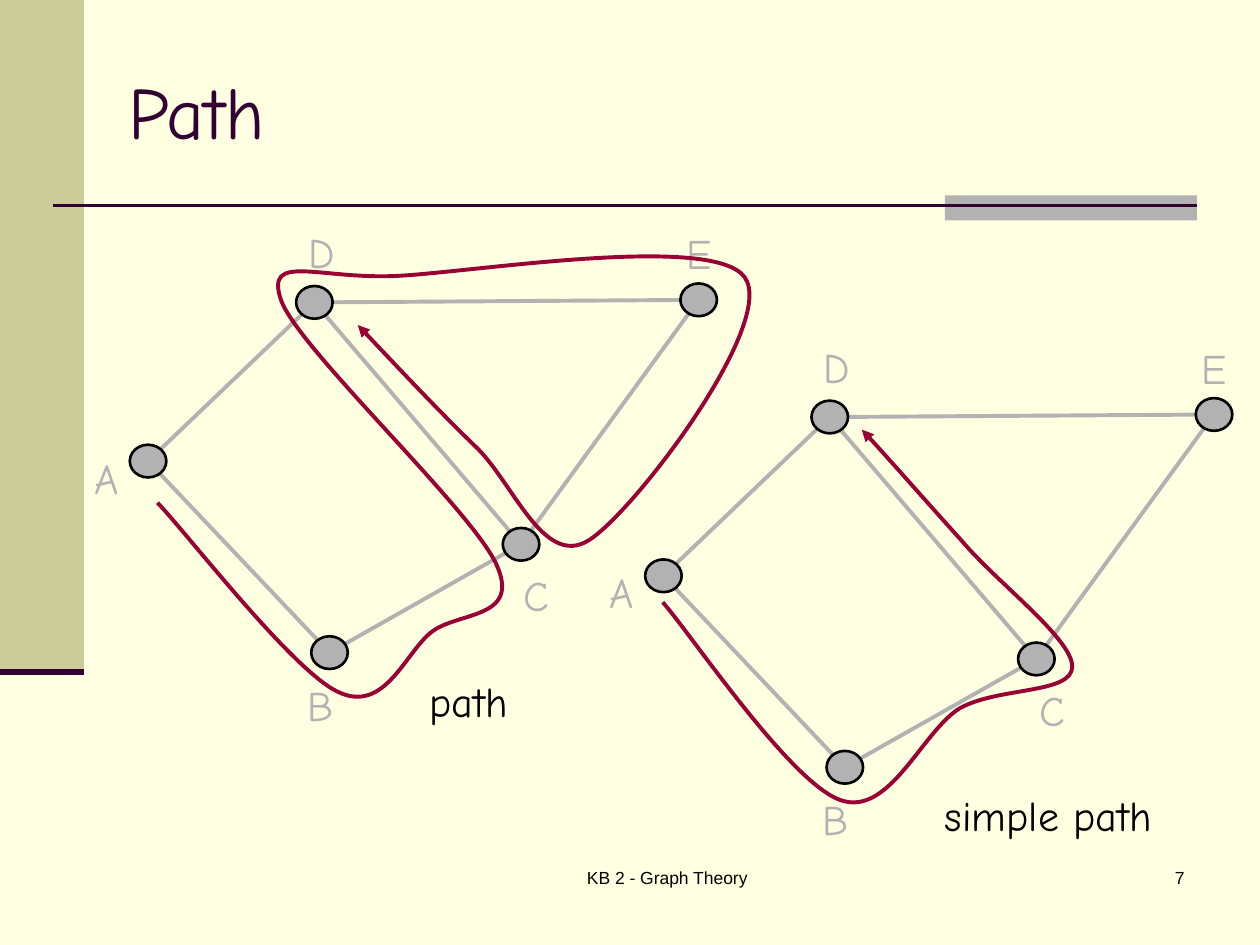
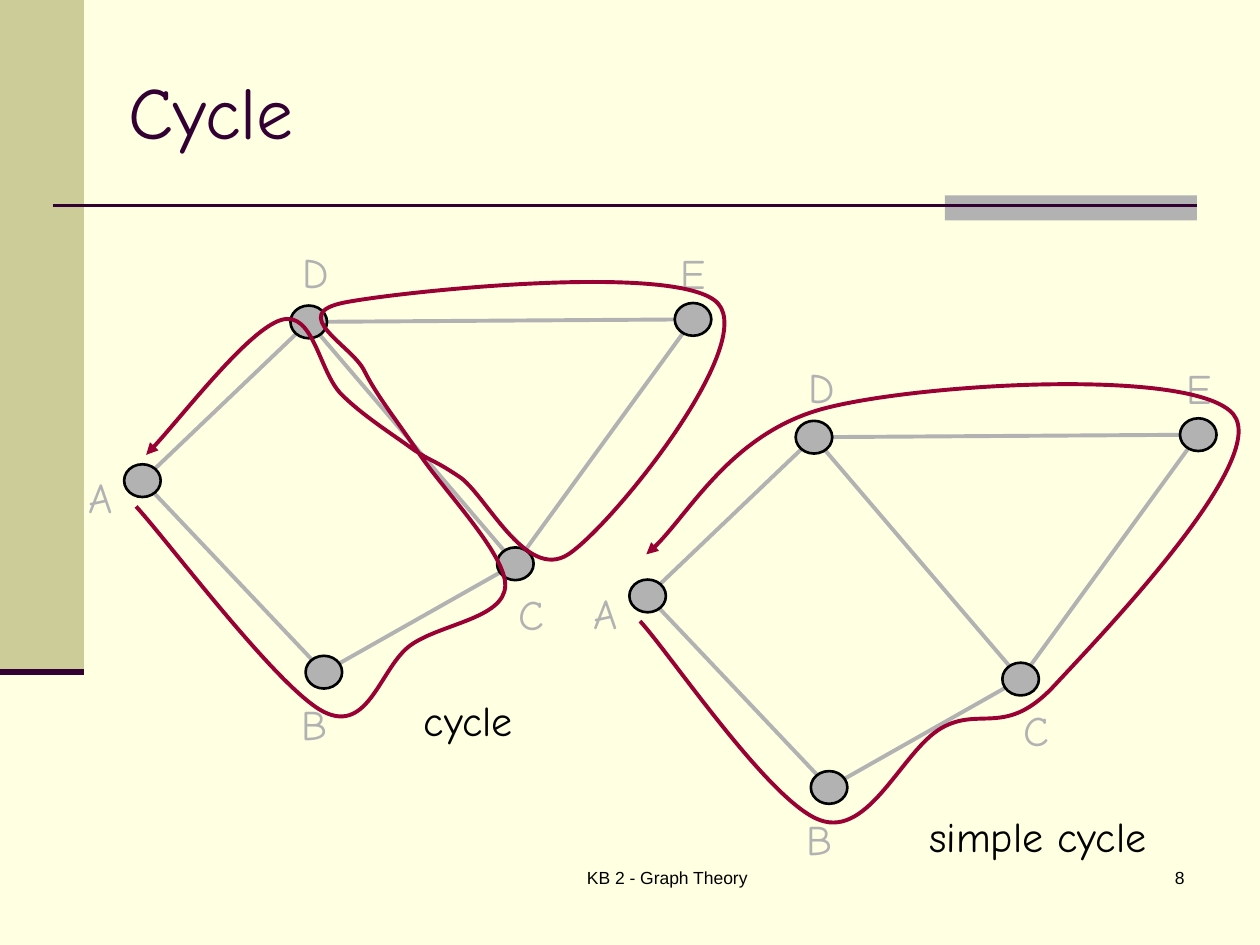
from dataclasses import dataclass

from pptx import Presentation
from pptx.dml.color import RGBColor
from pptx.enum.shapes import MSO_CONNECTOR, MSO_SHAPE
from pptx.enum.text import MSO_ANCHOR, MSO_AUTO_SIZE, PP_ALIGN
from pptx.oxml.ns import qn
from pptx.oxml.xmlchemy import OxmlElement
from pptx.util import Inches, Pt

STRAIGHT = MSO_CONNECTOR.STRAIGHT
RECT, OVAL = MSO_SHAPE.RECTANGLE, MSO_SHAPE.OVAL
TOP, MIDDLE = MSO_ANCHOR.TOP, MSO_ANCHOR.MIDDLE
LEFT, CENTER, RIGHT = PP_ALIGN.LEFT, PP_ALIGN.CENTER, PP_ALIGN.RIGHT
GROW, FIXED = MSO_AUTO_SIZE.SHAPE_TO_FIT_TEXT, MSO_AUTO_SIZE.NONE

COLS, ROWS = 100, 75
CELL = Inches(10) // COLS

CREAM, KHAKI, GRAY = "FFFFE1", "CCCC99", "B2B2B2"
PLUM, CRIMSON, BLACK = "330033", "990033", "000000"
HAND, SANS = "Comic Neue", "Arial"

NODE_W, NODE_H = 2.9, 2.6
LABEL_W, LABEL_H = 4, 5
CAPTION_COL, CAPTION_ROW = 33.1, 53.1
EDGES = ("DE", "DA", "AB", "BC", "CE", "DC")


@dataclass(frozen=True)
class Node:
    col: float
    row: float
    label_col: float
    label_row: float

    def center(self) -> tuple[float, float]:
        return self.col + NODE_W / 2, self.row + NODE_H / 2


@dataclass(frozen=True)
class Graph:
    col: float
    row: float
    caption: str
    caption_w: float
    start: tuple[float, float]
    curves: tuple[tuple[float, ...], ...]


@dataclass(frozen=True)
class Page:
    title: str
    number: int
    graphs: tuple[Graph, ...]


NODES = {
    "A": Node(10.3, 35.3, 6.5, 35.4),
    "B": Node(24.7, 50.5, 23.4, 53.4),
    "C": Node(39.9, 41.9, 40.6, 44.7),
    "D": Node(23.5, 22.7, 23.5, 17.5),
    "E": Node(54, 22.5, 53.5, 17.6),
}

PAGES = (
    Page("Path", 7, (
        Graph(0, 0, "path", 8.2, (12.5, 39.9), (
            (14.9, 42.4, 23.2, 53.2, 26.8, 54.9),
            (30.5, 56.7, 32.1, 51.9, 34.2, 50.2),
            (36.3, 48.5, 41.4, 49.2, 39.4, 44.8),
            (37.4, 40.4, 23.6, 27.6, 22.3, 23.8),
            (21, 20, 25.3, 22.2, 31.5, 21.9),
            (37.6, 21.6, 56.6, 18.5, 59.1, 22),
            (61.7, 25.6, 50.3, 40.7, 46.7, 42.9),
            (43.1, 45.1, 40.7, 38.2, 37.7, 35.4),
            (34.7, 32.5, 30.3, 27.8, 28.4, 25.8),
        )),
        Graph(40.9, 9.1, "simple path", 18.4, (52.6, 47.8), (
            (54.9, 50.4, 62.7, 62.1, 66.7, 63.5),
            (70.6, 64.9, 73.2, 58, 76.2, 56.2),
            (79.3, 54.5, 85.1, 55.1, 85.1, 52.9),
            (85.1, 50.7, 79.1, 46.2, 76.4, 43),
            (73.6, 39.9, 70.1, 35.9, 68.4, 34.1),
        )),
    )),
    Page("Cycle", 8, (
        Graph(-0.45, 1.55, "cycle", 9.1, (10.8, 40.2), (
            (13.3, 42.9, 22.1, 54.7, 25.7, 56.5),
            (29.3, 58.3, 30.2, 52.9, 32.6, 51.2),
            (35, 49.5, 40, 49.1, 40.1, 46.5),
            (40.2, 44, 35.1, 38.8, 33.2, 35.9),
            (31.3, 33.1, 29.9, 31.4, 28.9, 29.4),
            (27.9, 27.4, 22.7, 24.9, 27.4, 24),
            (32.1, 23.1, 54.1, 20.8, 57, 24.1),
            (60, 27.5, 48.6, 41.7, 45.1, 44),
            (41.7, 46.2, 38.5, 39.1, 36.4, 37.8),
            (34.3, 36.4, 34.3, 36.7, 32.7, 35.6),
            (31.2, 34.5, 28.8, 33, 27.1, 31.3),
            (25.3, 29.5, 24.9, 24.6, 22.3, 25.4),
            (19.7, 26.2, 13.8, 33.9, 11.6, 36.1),
        )),
        Graph(39.65, 10.7, "simple cycle", 19.3, (50.8, 49.3), (
            (53.2, 51.9, 61.1, 63.7, 65.1, 65.1),
            (69, 66.5, 71.6, 59.6, 74.7, 57.8),
            (77.8, 56, 79.8, 58.6, 83.7, 54.4),
            (87.5, 50.3, 100.8, 36.5, 97.9, 32.9),
            (94.9, 29.2, 73.7, 30.4, 65.9, 32.3),
            (58.2, 34.1, 54.3, 41.6, 51.3, 44),
        )),
    )),
)


def rgb(color: str) -> RGBColor:
    return RGBColor.from_string(color)


def cells(*lengths: float) -> list[int]:
    return [round(length * CELL) for length in lengths]


def add_text(slide, text: str, col: float, row: float, w: float, h: float, *,
             size: float = 24, font: str = HAND, color: str = BLACK,
             align=LEFT, anchor=TOP, wrap: bool = False) -> None:
    tf = slide.shapes.add_textbox(*cells(col, row, w, h)).text_frame
    tf.word_wrap = wrap
    tf.auto_size = FIXED if wrap else GROW
    tf.vertical_anchor = anchor
    p = tf.paragraphs[0]
    p.alignment = align
    r = p.add_run()
    r.text = text
    r.font.size, r.font.name = Pt(size), font
    r.font.color.rgb = rgb(color)


def add_block(slide, kind, col: float, row: float, w: float, h: float,
              fill: str, line: str | None = None) -> None:
    sp = slide.shapes.add_shape(kind, *cells(col, row, w, h))
    sp.shadow.inherit = False
    sp.fill.solid()
    sp.fill.fore_color.rgb = rgb(fill)
    if line:
        sp.line.color.rgb = rgb(line)
        sp.line.width = Pt(1.5)
    else:
        sp.line.fill.background()


def add_line(slide, x1: float, y1: float, x2: float, y2: float,
             color: str, width: float) -> None:
    line = slide.shapes.add_connector(STRAIGHT, *cells(x1, y1, x2, y2))
    line.line.color.rgb = rgb(color)
    line.line.width = Pt(width)
    line.element.spPr.append(OxmlElement("a:effectLst"))


def add_route(slide, start: tuple[float, float],
              curves: tuple[tuple[float, ...], ...]) -> None:
    points = [cells(*c[i:i + 2]) for c in curves for i in (0, 2, 4)]
    builder = slide.shapes.build_freeform(*cells(*start))
    builder.add_line_segments(points, close=False)
    sp = builder.convert_to_shape()
    sp.shadow.inherit = False
    sp.fill.background()
    sp.line.color.rgb = rgb(CRIMSON)
    sp.line.width = Pt(2.25)
    arrow = OxmlElement("a:tailEnd")
    arrow.set("type", "triangle")
    sp.line._get_or_add_ln().append(arrow)

    outline = next(sp.element.iter(qn("a:path")))
    segments = outline.findall(qn("a:lnTo"))
    for i in range(0, len(segments), 3):
        bezier = OxmlElement("a:cubicBezTo")
        for segment in segments[i:i + 3]:
            bezier.append(segment[0])
            outline.remove(segment)
        outline.append(bezier)


def add_graph(slide, graph: Graph) -> None:
    dx, dy = graph.col, graph.row
    for name, node in NODES.items():
        add_text(slide, name, node.label_col + dx, node.label_row + dy,
                 LABEL_W, LABEL_H, color=GRAY)
    for a, b in EDGES:
        (x1, y1), (x2, y2) = NODES[a].center(), NODES[b].center()
        add_line(slide, x1 + dx, y1 + dy, x2 + dx, y2 + dy, GRAY, 2.25)
    for node in NODES.values():
        add_block(slide, OVAL, node.col + dx, node.row + dy,
                  NODE_W, NODE_H, GRAY, BLACK)
    add_route(slide, graph.start, graph.curves)
    add_text(slide, graph.caption, CAPTION_COL + dx, CAPTION_ROW + dy,
             graph.caption_w, LABEL_H)


def add_frame(slide, page: Page) -> None:
    slide.background.fill.solid()
    slide.background.fill.fore_color.rgb = rgb(CREAM)
    add_block(slide, RECT, 0, 0, 6.67, 53.33, KHAKI)
    add_block(slide, RECT, 75, 15.5, 20, 2, GRAY)
    add_line(slide, 4.17, 16.3, 95, 16.3, PLUM, 1.5)
    add_line(slide, 0, 53.33, 6.67, 53.33, PLUM, 3.5)
    add_text(slide, page.title, 9.2, 3.3, 85, 10.8, size=42, color=PLUM,
             anchor=MIDDLE, wrap=True)
    add_text(slide, "KB 2 - Graph Theory", 36.7, 68.3, 32.5, 5,
             size=10, font=SANS, align=CENTER, wrap=True)
    add_text(slide, str(page.number), 74.2, 68.3, 20.8, 5,
             size=10, font=SANS, align=RIGHT, wrap=True)


def main() -> None:
    prs = Presentation()
    prs.slide_width, prs.slide_height = cells(COLS, ROWS)
    for page in PAGES:
        slide = prs.slides.add_slide(prs.slide_layouts[6])
        add_frame(slide, page)
        for graph in page.graphs:
            add_graph(slide, graph)
    prs.save("out.pptx")


if __name__ == "__main__":
    main()
